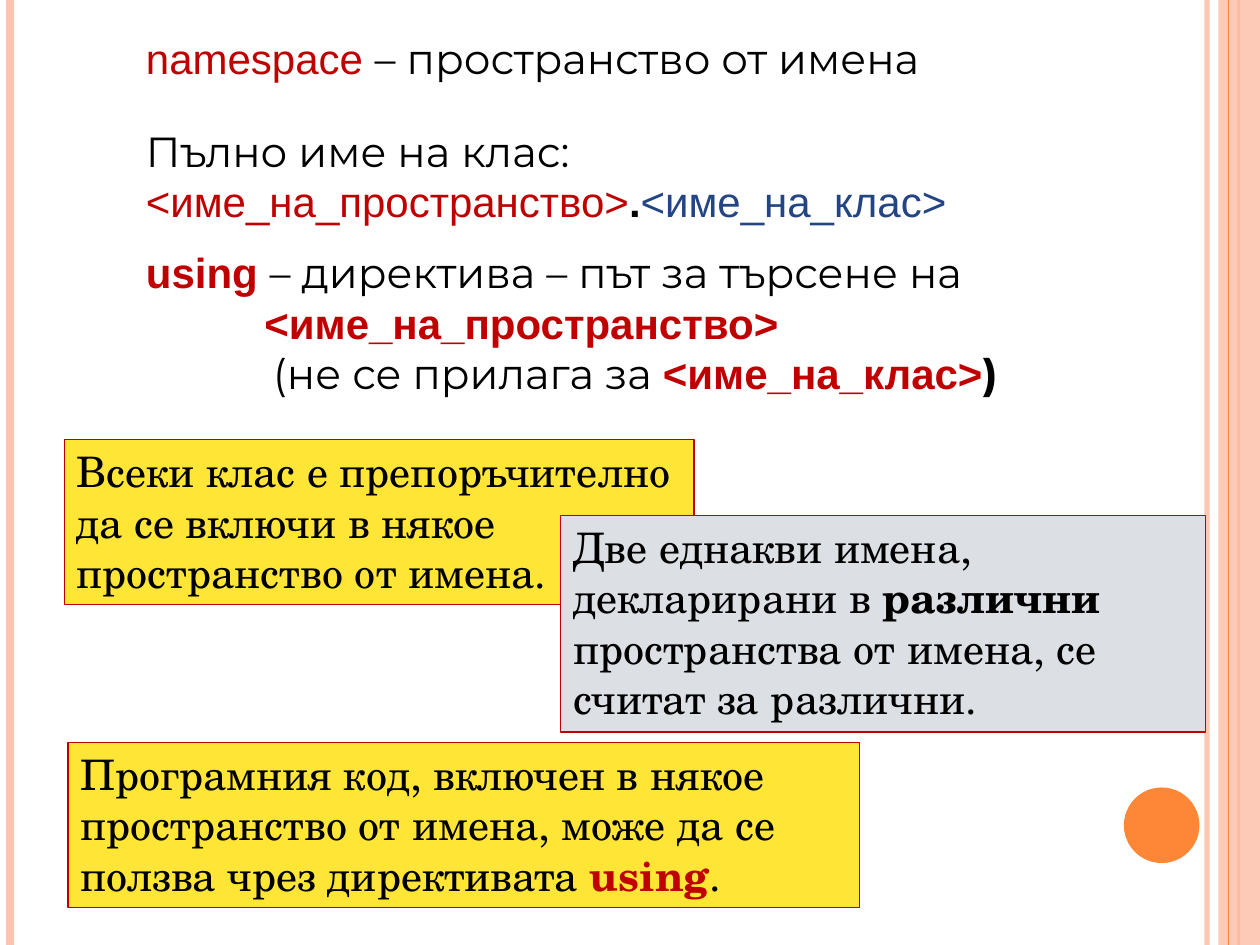
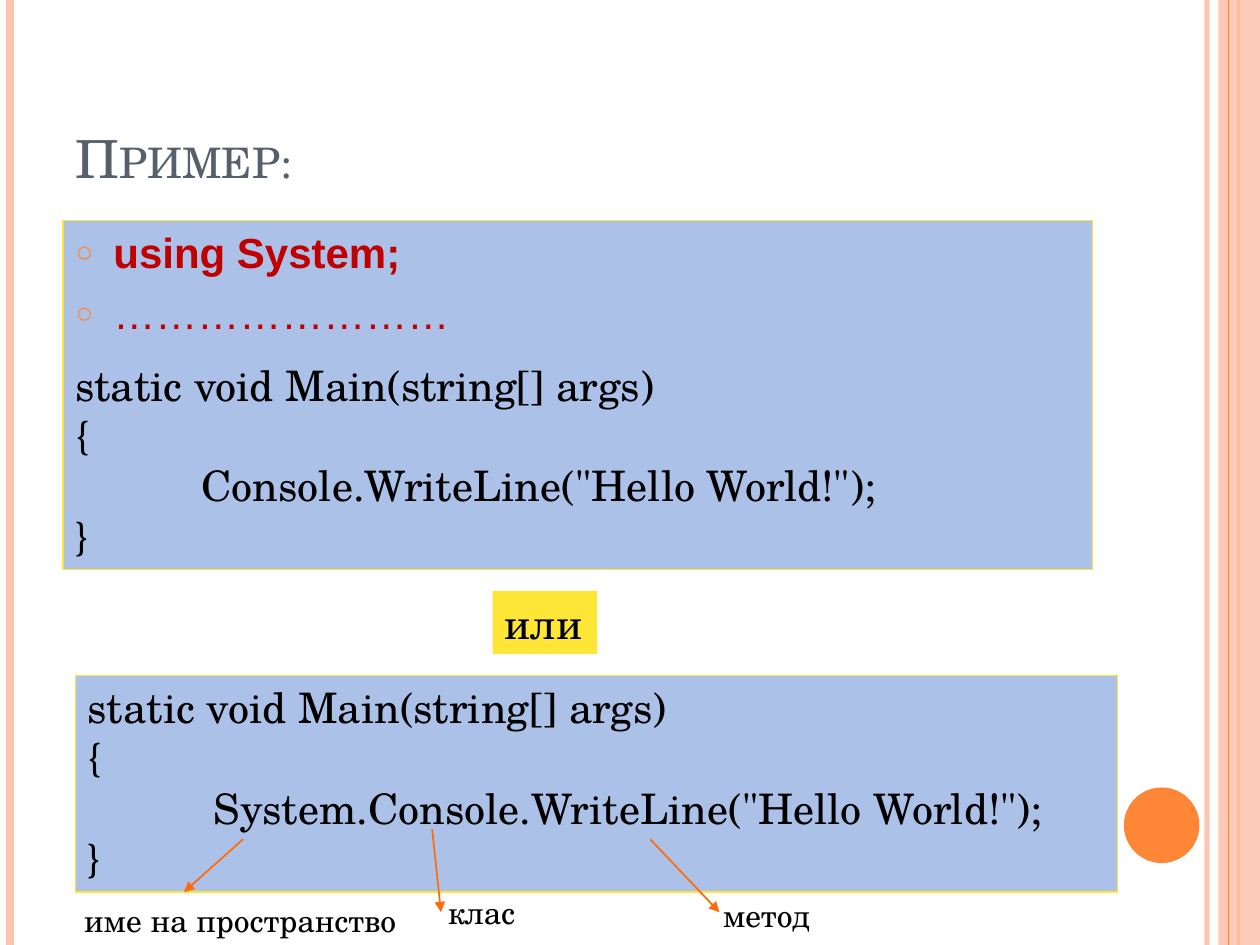
"""Builds two slides about C# namespaces."""
import lxml.etree
import pptx
import pptx.dml.color
import pptx.enum.shapes
import pptx.enum.text
import pptx.oxml.ns
import pptx.util

SERIF, SANS, ROUND = "TeX Gyre Schola", "Arial", "Montserrat"
BLACK, RED, NAVY, SLATE = "000000", "C00000", "244583", "575F6D"
YELLOW, GREY, BLUE = "FFE636", "DCDFE3", "ACC1E8"
PEACH, ORANGE, ARROW = "FEC3AE", "FE8637", "FF6B0A"
TOP = pptx.enum.text.MSO_ANCHOR.TOP
BOTTOM = pptx.enum.text.MSO_ANCHOR.BOTTOM
RECT = pptx.enum.shapes.MSO_SHAPE.RECTANGLE
OVAL = pptx.enum.shapes.MSO_SHAPE.OVAL


def inches(*sizes):
    """Turn numbers into inch lengths."""
    return [pptx.util.Inches(size) for size in sizes]


def color(text):
    """Turn a hex string into a colour."""
    return pptx.dml.color.RGBColor.from_string(text)


def child(parent, tag, **attrs):
    """Append a DrawingML element."""
    return lxml.etree.SubElement(parent, pptx.oxml.ns.qn("a:" + tag), **attrs)


def paint(shape, fill=None, line=None, width=0.75):
    """Set the fill and outline of a shape."""
    if fill:
        shape.fill.solid()
        shape.fill.fore_color.rgb = color(fill)
    if line:
        shape.line.color.rgb = color(line)
        shape.line.width = pptx.util.Pt(width)
    else:
        shape.line.fill.background()


def fade(shape, percent):
    """Make the colours of a shape partly clear."""
    for tone in shape.element.xpath(".//a:srgbClr"):
        child(tone, "alpha", val=str(percent * 1000))


def put(para, text, size=24, font=SERIF, tone=BLACK, bold=False, caps=False):
    """Add a formatted run to a paragraph."""
    run = para.add_run()
    run.text = text
    run.font.size = pptx.util.Pt(size)
    run.font.name = font
    run.font.bold = bold
    run.font.color.rgb = color(tone)
    if caps:
        run.font._element.set("cap", "small")


def write(frame, *runs, before=0, left=0, hang=0, bullet=None):
    """Add a paragraph made of (text, format) runs."""
    para = frame.paragraphs[0]
    if para.runs:
        para = frame.add_paragraph()
    para.alignment = pptx.enum.text.PP_ALIGN.LEFT
    para.space_before = pptx.util.Pt(before)
    props = para._p.get_or_add_pPr()
    margin, indent = inches(left, -hang)
    props.set("marL", str(margin))
    props.set("indent", str(indent))
    if bullet:
        child(child(props, "buClr"), "srgbClr", val=ORANGE)
        child(props, "buSzPct", val="70000")
        child(props, "buChar", char=bullet)
    for text, style in runs:
        put(para, text, **style)


def panel(slide, box, fill=None, line=None, wrap=True):
    """Add a text box and return its frame."""
    shape = slide.shapes.add_textbox(*inches(*box))
    paint(shape, fill, line)
    shape.text_frame.word_wrap = wrap
    return shape.text_frame


def stroke(slide, start, end, tone, width, head=False):
    """Add a straight line or arrow."""
    kind = pptx.enum.shapes.MSO_CONNECTOR.STRAIGHT
    line = slide.shapes.add_connector(kind, *inches(*start, *end))
    line.line.color.rgb = color(tone)
    line.line.width = pptx.util.Pt(width)
    if head:
        child(line.line._get_or_add_ln(), "tailEnd", type="triangle")
    child(line.element.spPr, "effectLst")
    return line


def solid(slide, kind, box, fill):
    """Add a plain filled shape."""
    shape = slide.shapes.add_shape(kind, *inches(*box))
    shape.shadow.inherit = False
    paint(shape, fill)
    return shape


def frame(slide, width=10, height=7.5):
    """Draw the side bands and the disc."""
    def rail(x, tone, weight):
        return stroke(slide, (x, 0), (x, height), tone, weight)

    fade(rail(width - 0.42, PEACH, 3), 93)
    rail(0.08, PEACH, 4.5)
    rail(width - 0.17, ORANGE, 1.5)
    fade(solid(slide, RECT, (width - 0.33, 0, 0.33, height), PEACH), 87)
    rail(width - 0.25, ORANGE, 0.75)
    solid(slide, OVAL, (width - 1.08, height - 1.25, 0.6, 0.6), ORANGE)


def terms(slide, box):
    """Write the definitions of the keywords."""
    area = panel(slide, box)
    plain, red = {"font": ROUND}, {"font": SANS, "tone": RED}
    strong = {**red, "bold": True}
    hung = {"left": 0.5, "hang": 0.5}
    write(area, ("namespace ", red), ("– пространство от имена", plain), **hung)
    write(area, ("Пълно име на клас:", plain), before=24, **hung)
    write(area, ("<име_на_пространство>", red),
          (".", {"font": SANS, "bold": True}),
          ("<име_на_клас>", {"font": SANS, "tone": NAVY}), **hung)
    write(area, ("using ", strong),
          ("– директива – път за търсене на", plain), before=12, **hung)
    write(area, ("<име_на_пространство>", strong), left=0.94)
    write(area, ("(не се прилага за ", plain), ("<име_на_клас>", strong),
          (")", {"font": ROUND, "bold": True}), left=1.01)


def note(slide, box, fill, *runs):
    """Add a red-edged note."""
    write(panel(slide, box, fill, RED), *runs)


def code(slide, box, call, **look):
    """Write a Main method around one call."""
    area = panel(slide, box, **look)
    for text, left in (("static void Main(string[] args)", 0), ("{", 0),
                       (call, 1), ("}", 0)):
        write(area, (text, {}), left=left)


def first(deck):
    """Build the slide on namespaces."""
    slide = deck.slides.add_slide(deck.slide_layouts[6])
    frame(slide)
    note(slide, (0.54, 5.89, 6.28, 1.31), YELLOW,
         ("Програмния код, включен в някое пространство от имена, "
          "може да се ползва чрез директивата ", {}),
         ("using", {"tone": RED, "bold": True}), (".", {}))
    terms(slide, (1.06, 0.21, 9.61, 3.13))
    note(slide, (0.51, 3.49, 5, 1.31), YELLOW,
         ("Всеки клас е препоръчително да се включи в някое "
          "пространство от имена.", {}))
    note(slide, (4.45, 4.09, 5.12, 1.72), GREY,
         ("Две еднакви имена, декларирани в ", {}),
         ("различни ", {"bold": True}),
         ("пространства от имена, се считат за различни.", {}))


def hold(shape, box, anchor):
    """Place a placeholder and return its frame."""
    shape.left, shape.top, shape.width, shape.height = inches(*box)
    area = shape.text_frame
    area.auto_size = pptx.enum.text.MSO_AUTO_SIZE.NONE
    area.vertical_anchor = anchor
    return area


def short(slide, box):
    """Show the code with a using line."""
    x, y, width, height = box
    body = slide.placeholders[1]
    area = hold(body, box, TOP)
    paint(body, BLUE, YELLOW)
    for text, bold in (("using System;", True), ("……………………", False)):
        write(area, (text, {"font": SANS, "tone": RED, "bold": bold}),
              before=6, left=0.3, hang=0.3, bullet="○")
    code(slide, (x, y + 1.05, width - 1.39, height - 1.05),
         'Console.WriteLine("Hello World!");')


def full(slide, box):
    """Show the code with the full name and its labelled parts."""
    x, y = box[:2]
    code(slide, box, 'System.Console.WriteLine("Hello World!");',
         fill=BLUE, line=YELLOW)
    parts = (
        ("име на пространство", (-0.03, 1.74, 2.7), (1.33, 1.3), (0.86, 1.72)),
        ("клас", (2.86, 1.68, 0.76), (2.83, 1.22), (2.9, 1.88)),
        ("метод", (5.04, 1.7, 0.9), (4.56, 1.3), (5.11, 1.88)),
    )
    for text, (left, top, width), start, end in parts:
        stroke(slide, (x + start[0], y + start[1]),
               (x + end[0], y + end[1]), ARROW, 1, head=True)
        label = panel(slide, (x + left, y + top, width, 0.4), wrap=False)
        write(label, (text, {"size": 18}))


def second(deck):
    """Build the example slide."""
    slide = deck.slides.add_slide(deck.slide_layouts[1])
    frame(slide)
    title = hold(slide.shapes.title, (0.5, 0.3, 8.17, 1.25), BOTTOM)
    write(title, ("Пример:", {"size": 30, "tone": SLATE, "caps": True}))
    short(slide, (0.5, 1.75, 8.17, 2.77))
    write(panel(slide, (3.91, 4.69, 0.83, 0.5), YELLOW, wrap=False),
          ("или", {}))
    full(slide, (0.6, 5.36, 8.27, 1.72))


def main():
    """Build and save the deck."""
    deck = pptx.Presentation()
    deck.slide_width, deck.slide_height = inches(10, 7.5)
    first(deck)
    second(deck)
    deck.save("out.pptx")


if __name__ == "__main__":
    main()
